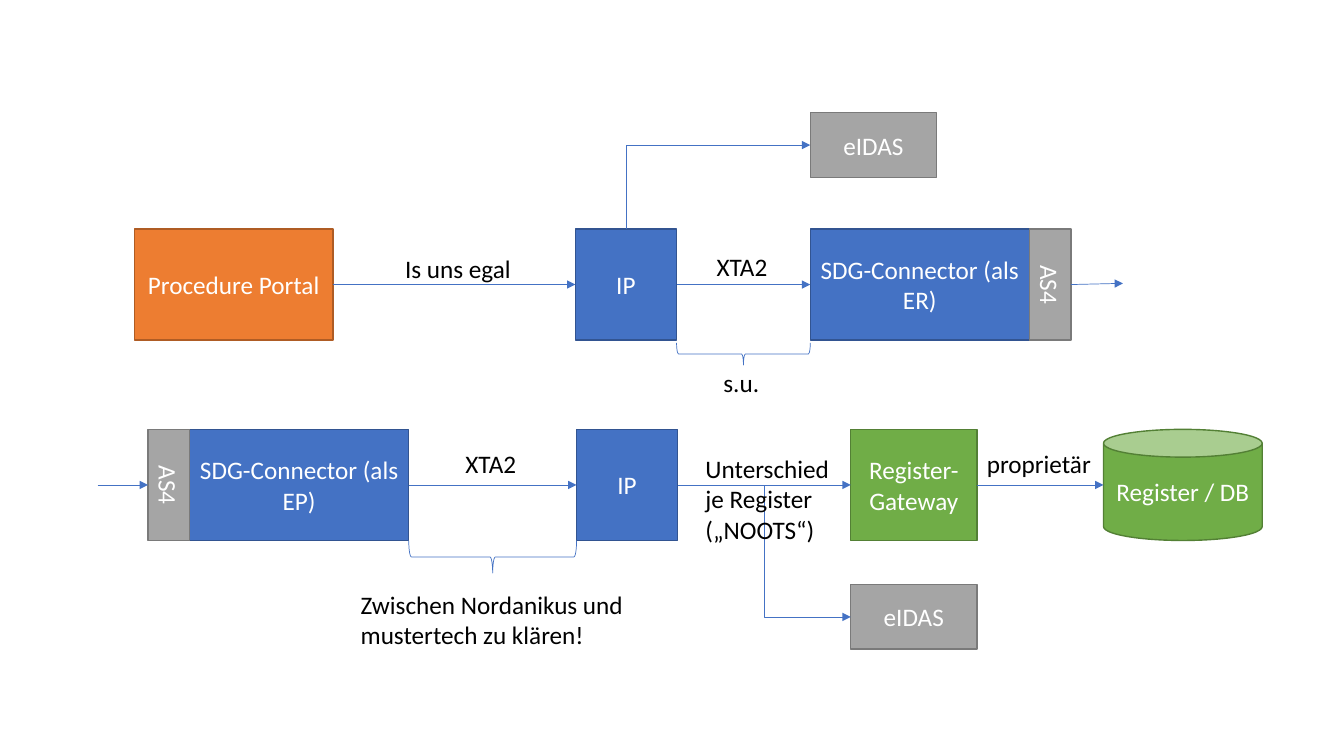
from lxml import etree
from pptx import Presentation
from pptx.dml.color import RGBColor
from pptx.enum.shapes import MSO_CONNECTOR as LINE, MSO_SHAPE as FORM
from pptx.enum.text import MSO_ANCHOR, MSO_AUTO_SIZE, PP_ALIGN
from pptx.oxml.ns import qn
from pptx.util import Cm, Pt

WHITE, BLACK = RGBColor(255, 255, 255), RGBColor(0, 0, 0)
BLUE, DARK_BLUE = RGBColor(0x44, 0x72, 0xC4), RGBColor(0x32, 0x54, 0x91)
GREEN, DARK_GREEN = RGBColor(0x70, 0xAD, 0x47), RGBColor(0x53, 0x80, 0x35)
GRAY, DARK_GRAY = RGBColor(0xA5, 0xA5, 0xA5), RGBColor(0x7A, 0x7A, 0x7A)
ORANGE, DARK_ORANGE = RGBColor(0xED, 0x7D, 0x31), RGBColor(0xAF, 0x5C, 0x24)
OUTLINES = {BLUE: DARK_BLUE, GREEN: DARK_GREEN, GRAY: DARK_GRAY, ORANGE: DARK_ORANGE}

# Content, lengths in cm
UPPER, LOWER, TALL = 5.77, 10.82, 2.8
EIDAS_TOP, EIDAS_LOW, SHORT = 2.84, 14.73, 1.63

# name: (text, left, top, width, height, fill)
BOXES = {
    "connector_er": ("SDG-Connector (als ER)", 20.42, UPPER, 5.52, TALL, BLUE),
    "connector_ep": ("SDG-Connector (als EP)", 4.78, LOWER, 5.52, TALL, BLUE),
    "gateway": ("Register-Gateway", 21.44, LOWER, 3.18, TALL, GREEN),
    "register": ("Register / DB", 27.81, LOWER, 4, TALL, GREEN),
    "as4_ep": ("AS4", 3.73, LOWER, 1.05, TALL, GRAY),
    "as4_er": ("AS4", 25.94, UPPER, 1.05, TALL, GRAY),
    "ip_lower": ("IP", 14.53, LOWER, 2.55, TALL, BLUE),
    "portal": ("Procedure Portal", 3.39, UPPER, 5, TALL, ORANGE),
    "ip_upper": ("IP", 14.5, UPPER, 2.55, TALL, BLUE),
    "eidas_low": ("eIDAS", 21.44, EIDAS_LOW, 3.18, SHORT, GRAY),
    "eidas_top": ("eIDAS", 20.42, EIDAS_TOP, 3.18, SHORT, GRAY),
}
FLOWS = [
    ("gateway", "register"), ("connector_ep", "ip_lower"), ("ip_lower", "gateway"),
    ("portal", "ip_upper"), ("ip_upper", "connector_er"),
]
# text, left, top, width, height, wrap
LABELS = [
    ("proprietär", 24.62, 11.18, 3.18, 1.02, False),
    ("Unterschied je Register („NOOTS“)", 17.53, 11.3, 3.66, 2.57, True),
    ("XTA2", 11.48, 11.18, 1.8, 1.02, False),
    ("Zwischen Nordanikus und mustertech zu klären!", 8.84, 14.73, 7.16, 1.8, True),
    ("XTA2", 17.81, 6.22, 1.8, 1.02, False),
    ("Is uns egal", 9.96, 6.25, 3.2, 1.02, False),
    ("s.u.", 17.98, 9.12, 1.42, 1.02, False),
]
# box on the left, box on the right, top, height
BRACES = [("connector_ep", "ip_lower", 13.63, 0.81), ("ip_upper", "connector_er", 8.64, 0.56)]

presentation = Presentation()
presentation.slide_width, presentation.slide_height = Cm(33.87), Cm(19.05)
slide = presentation.slides.add_slide(presentation.slide_layouts[6])
shapes = slide.shapes


def write(shape, text, color=BLACK, align=PP_ALIGN.LEFT, anchor=MSO_ANCHOR.TOP, wrap=True):
    frame = shape.text_frame
    frame.word_wrap, frame.vertical_anchor = wrap, anchor
    paragraph = frame.paragraphs[0]
    paragraph.alignment = align
    run = paragraph.add_run()
    run.text = text
    run.font.name, run.font.size, run.font.color.rgb = "Calibri", Pt(18), color


def add_box(name):
    text, left, top, width, height, fill = BOXES[name]
    form = FORM.CAN if name == "register" else FORM.RECTANGLE
    box = shapes.add_shape(form, Cm(left), Cm(top), Cm(width), Cm(height))
    box.shadow.inherit = False
    box.fill.solid()
    box.fill.fore_color.rgb = fill
    box.line.color.rgb, box.line.width = OUTLINES[fill], Pt(1)
    write(box, text, color=WHITE, align=PP_ALIGN.CENTER, anchor=MSO_ANCHOR.MIDDLE)
    if text == "AS4":
        box.text_frame._txBody.bodyPr.set("vert", "vert")


def add_arrow(start, end, kind=LINE.STRAIGHT, arrow_end="a:tailEnd"):
    arrow = shapes.add_connector(kind, *map(Cm, start + end))
    arrow.line.color.rgb, arrow.line.width = BLUE, Pt(0.5)
    etree.SubElement(arrow.line._get_or_add_ln(), qn(arrow_end), type="triangle")
    etree.SubElement(arrow._element.spPr, qn("a:effectLst"))
    return arrow


def left_of(name):
    _, left, top, _, height, _ = BOXES[name]
    return left, top + height / 2


def right_of(name):
    x, y = left_of(name)
    return x + BOXES[name][3], y


# Boxes
for name in BOXES:
    add_box(name)

# Straight arrows, with the way in and out at the AS4 ends
for source, target in FLOWS:
    add_arrow(right_of(source), left_of(target))
entry, leaving = left_of("as4_ep"), right_of("as4_er")
add_arrow((entry[0] - 1.27, entry[1]), entry)
add_arrow(leaving, (leaving[0] + 1.31, leaving[1] - 0.03))

# Bent arrows to eIDAS; the upper one has a single corner
add_arrow(right_of("ip_lower"), left_of("eidas_low"), kind=LINE.ELBOW)
ip_top = (BOXES["ip_upper"][1] + BOXES["ip_upper"][3] / 2, UPPER)
corner = add_arrow(left_of("eidas_top"), ip_top, kind=LINE.ELBOW, arrow_end="a:headEnd")
corner._element.spPr.find(qn("a:prstGeom")).set("prst", "bentConnector2")

# Braces, turned to open upwards
for before, after, top, height in BRACES:
    start, end = right_of(before)[0], left_of(after)[0]
    width = end - start
    brace = shapes.add_shape(FORM.RIGHT_BRACE, Cm((start + end - height) / 2),
                             Cm(top + (height - width) / 2), Cm(height), Cm(width))
    brace.rotation = 90
    brace.shadow.inherit = False
    brace.fill.background()
    brace.line.color.rgb, brace.line.width = BLUE, Pt(0.5)

# Labels
for text, left, top, width, height, wrap in LABELS:
    label = shapes.add_textbox(Cm(left), Cm(top), Cm(width), Cm(height))
    write(label, text, wrap=wrap)
    label.text_frame.auto_size = MSO_AUTO_SIZE.SHAPE_TO_FIT_TEXT

presentation.save("out.pptx")
